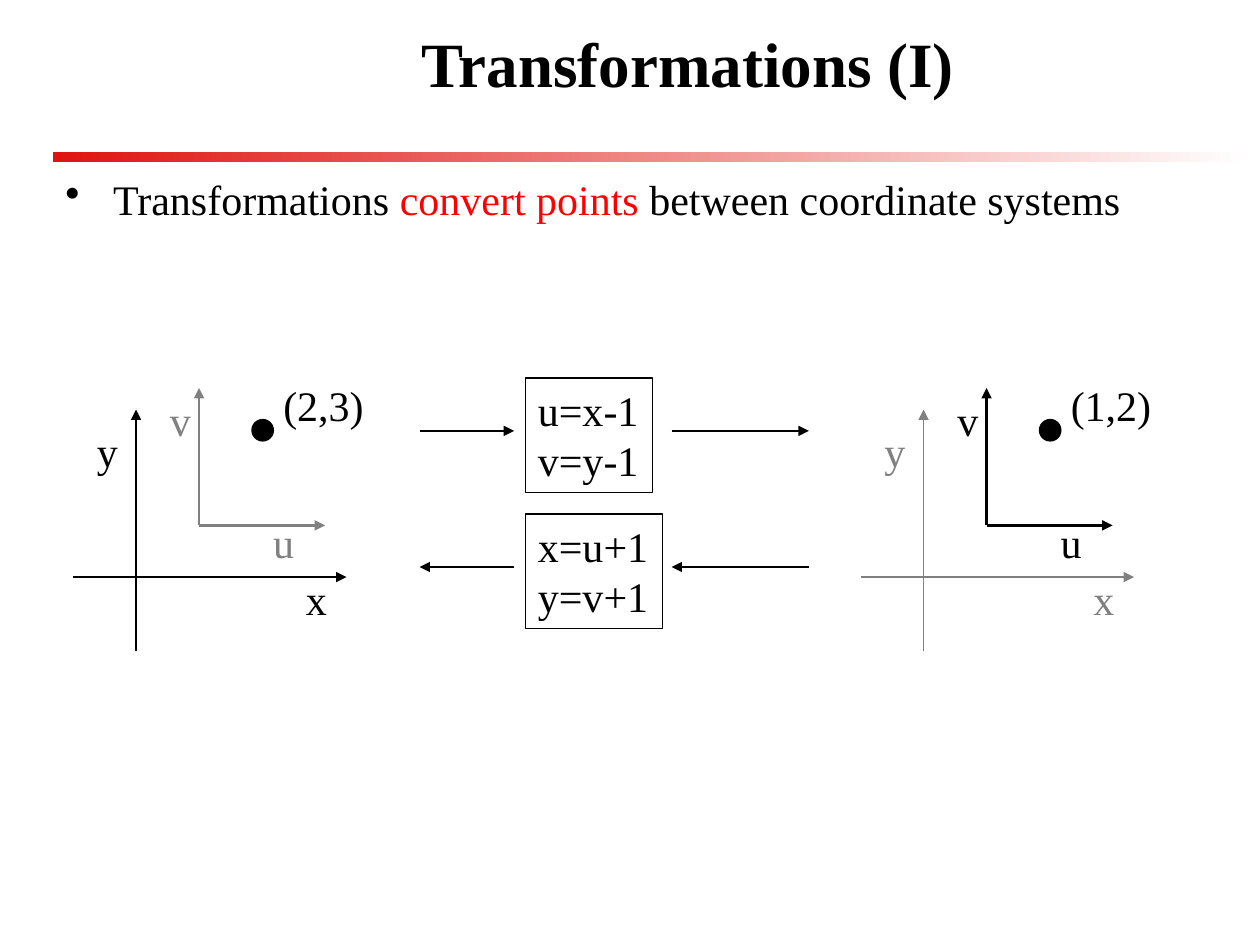
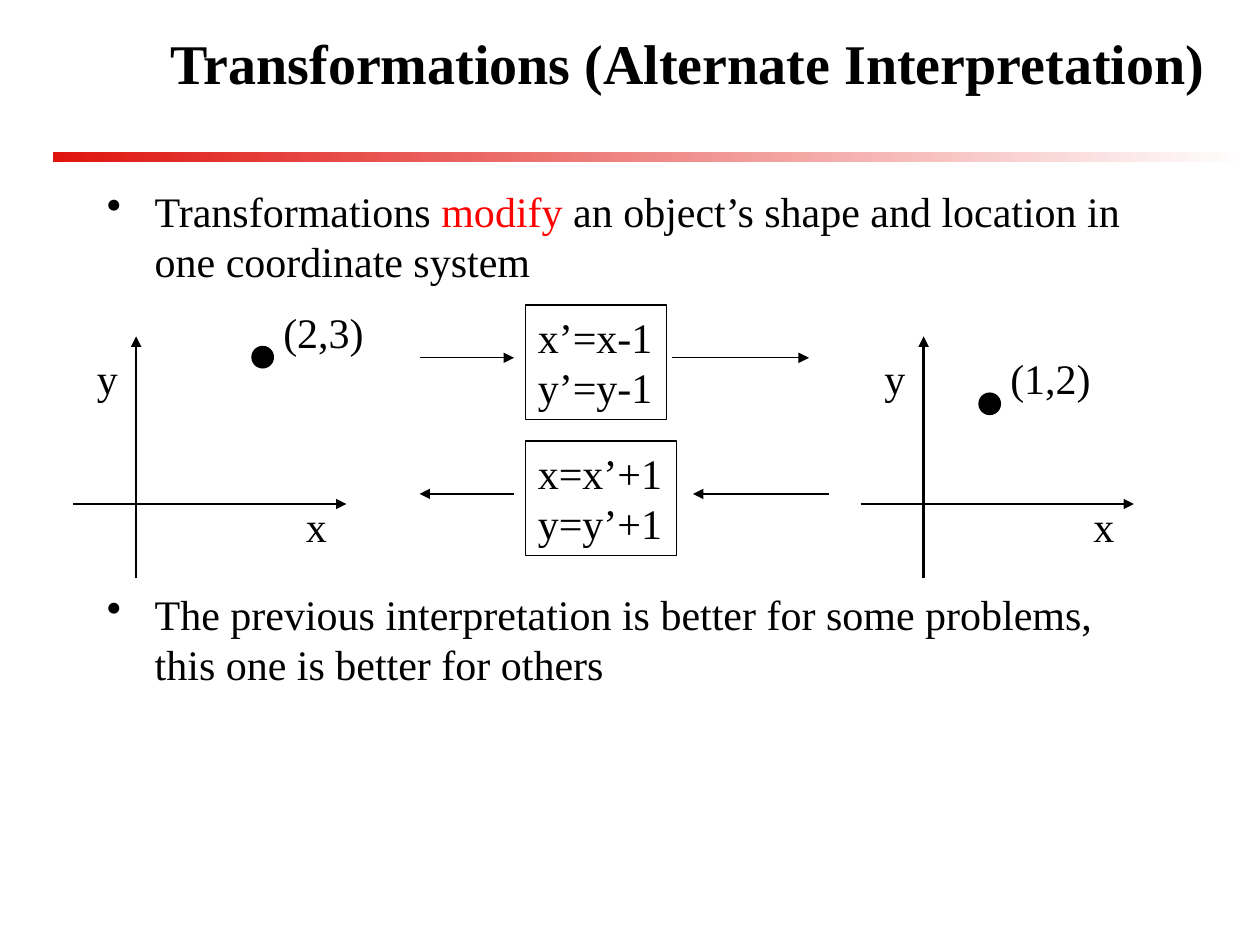
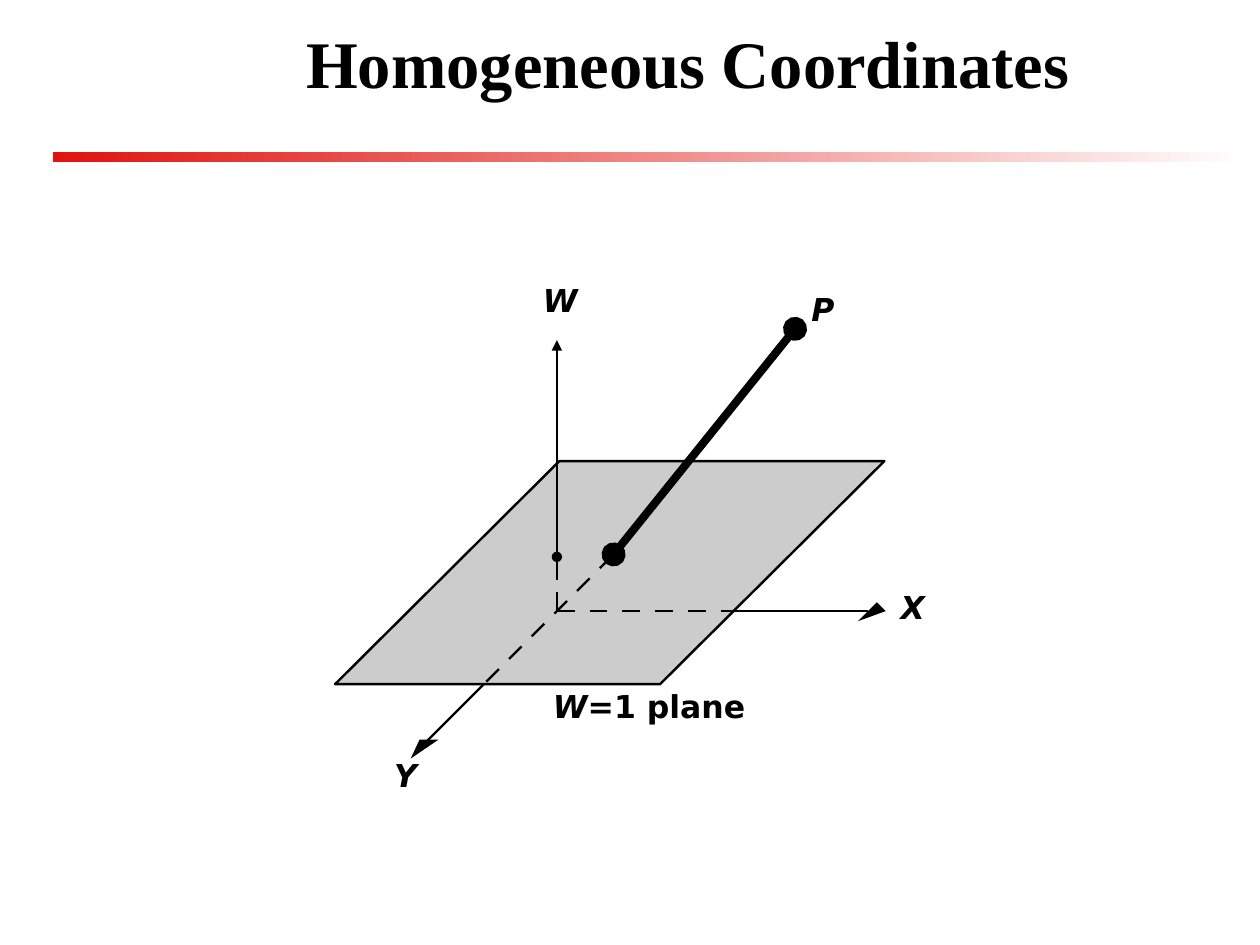
from pptx import Presentation, util as u
from pptx.dml.color import RGBColor
from pptx.enum import shapes, text
from pptx.oxml.ns import qn
from lxml import etree

HUES = {"ink": "000000", "red": "FF0000", "gray": "808080",
        "band": "DF140F", "page": "FFFFFF", "plane": "CCCCCC"}
SERIF, SANS = "Times New Roman", "DejaVu Sans"
LEFT, RIGHT = 1.08, 7.33  # x of the two origins


def hue(name):
    return RGBColor.from_string(HUES[name])


def sub(node, tag, **attrs):
    return etree.SubElement(node, qn(tag), attrs)


class Deck:
    def __init__(self):
        self.file = Presentation()
        self.file.slide_width, self.file.slide_height = u.Inches(10), u.Inches(7.5)
        self.slide = None

    def page(self, title, size):
        """Start a slide with its title and the fading red band."""
        self.slide = self.file.slides.add_slide(self.file.slide_layouts[6])
        band = self.shape(shapes.MSO_SHAPE.RECTANGLE, 0.42, 1.21, 9.5, 0.08)
        band.fill.gradient()
        band.fill.gradient_angle = 0
        for stop, name in zip(band.fill.gradient_stops, ("band", "page")):
            stop.color.rgb = hue(name)
        frame = self.frame(1.17, 0.08, 8.58, 0.83)
        frame.vertical_anchor = text.MSO_ANCHOR.MIDDLE
        par = frame.paragraphs[0]
        par.alignment = text.PP_ALIGN.CENTER
        self.run(par, title, size=size, bold=True)

    def run(self, par, words, color="ink", size=24, font=SERIF, bold=False, slant=False):
        run = par.add_run()
        run.text = words
        run.font.name, run.font.size = font, u.Pt(size)
        run.font.bold, run.font.italic = bold, slant
        run.font.color.rgb = hue(color)

    def frame(self, x, y, w, h, wrap=True):
        box = self.slide.shapes.add_textbox(*map(u.Inches, (x, y, w, h)))
        box.text_frame.word_wrap = wrap
        return box.text_frame

    def label(self, words, x, y, w=0.37, color="ink"):
        par = self.frame(x, y, w, 0.5, wrap=False).paragraphs[0]
        self.run(par, words, color)

    def mark(self, x, y, w, slant, plain=""):
        """Bold sans label: a slanted name, then upright words."""
        par = self.frame(x, y, w, 0.4, wrap=False).paragraphs[0]
        self.run(par, slant, size=18, font=SANS, bold=True, slant=True)
        if plain:
            self.run(par, plain, size=18, font=SANS, bold=True)

    def bullet(self, x, y, w, h, *runs):
        par = self.frame(x, y, w, h).paragraphs[0]
        par.space_before = u.Pt(4.8)
        props = par._p.get_or_add_pPr()
        props.set("marL", str(u.Inches(0.38)))
        props.set("indent", str(u.Inches(-0.38)))
        sub(props, "a:buChar", char="•")
        for words, color in runs:
            self.run(par, words, color)

    def shape(self, kind, x, y, w, h):
        item = self.slide.shapes.add_shape(kind, *map(u.Inches, (x, y, w, h)))
        item.shadow.inherit = False
        item.line.fill.background()
        return item

    def line(self, x1, y1, x2, y2, color="ink", width=1.5, head=None, tail=None):
        item = self.slide.shapes.add_connector(
            shapes.MSO_CONNECTOR.STRAIGHT, *map(u.Inches, (x1, y1, x2, y2)))
        item.line.color.rgb = hue(color)
        item.line.width = u.Pt(width)
        for tag, kind in (("a:headEnd", head), ("a:tailEnd", tail)):
            if kind:
                sub(item.line._ln, tag, type=kind)
        sub(item._element.spPr, "a:effectLst")

    def arrow(self, *ends, color="ink", width=1.5):
        self.line(*ends, color=color, width=width, tail="triangle")

    def poly(self, points, color, width=0):
        """Filled outline; it gets an ink line when width is given."""
        (x, y), *rest = [(u.Inches(a), u.Inches(b)) for a, b in points]
        pen = self.slide.shapes.build_freeform(x, y)
        pen.add_line_segments(rest, close=True)
        item = pen.convert_to_shape()
        item.shadow.inherit = False
        item.fill.solid()
        item.fill.fore_color.rgb = hue(color)
        if width:
            item.line.color.rgb = hue("ink")
            item.line.width = u.Pt(width)
        else:
            item.line.fill.background()

    def axes(self, x, y, color="ink", width=1.5):
        """The x and y axes, crossing at (x, y)."""
        self.arrow(x, y + 0.59, x, y - 1.33, color=color, width=width)
        self.arrow(x - 0.5, y, x + 1.67, y, color=color, width=width)
        self.label("x", x + 1.25, y - 0.08, color=color)
        self.label("y", x - 0.41, y - 1.25, color=color)

    def inner(self, x, y, color):
        """The u and v axes, starting at (x, y)."""
        self.arrow(x, y, x, y - 1.09, color=color)
        self.arrow(x, y, x + 1, y, color=color)
        self.label("u", x + 0.49, y - 0.12, color=color)
        self.label("v", x - 0.33, y - 1.09, color=color)

    def point(self, words, x, y):
        dot = self.shape(shapes.MSO_SHAPE.OVAL, x, y, 0.17, 0.17)
        dot.fill.solid()
        dot.fill.fore_color.rgb = dot.line.color.rgb = hue("ink")
        dot.line.width = u.Pt(0.75)
        self.label(words, x + 0.15, y - 0.37, 0.84)

    def rule(self, rows, y, w, *spans):
        """Boxed equations with an arrow for each span of x."""
        box = self.shape(shapes.MSO_SHAPE.RECTANGLE, 4.17, y, w, 0.91)
        box.fill.background()
        box.line.color.rgb = hue("ink")
        box.line.width = u.Pt(0.75)
        frame = box.text_frame
        frame.word_wrap = False
        frame.vertical_anchor = text.MSO_ANCHOR.TOP
        for i, row in enumerate(rows):
            par = frame.add_paragraph() if i else frame.paragraphs[0]
            par.alignment = text.PP_ALIGN.LEFT
            self.run(par, row)
        for start, end in spans:
            self.arrow(start, y + 0.42, end, y + 0.42, width=0.75)

    def dashes(self, x, y, step, size, count):
        for i in range(count):
            a, b = x + i * step[0], y + i * step[1]
            self.line(a, b, a + size[0], b + size[1], width=1.38)


def convert(deck):
    deck.page("Transformations (I)", 36)
    deck.bullet(0.42, 1.33, 9.33, 0.6, ("Transformations ", "ink"),
                ("convert points", "red"), (" between coordinate systems", "ink"))
    deck.axes(LEFT, 4.58)
    deck.point("(2,3)", 2, 3.33)
    deck.axes(RIGHT, 4.58, "gray", 1)
    deck.point("(1,2)", 8.25, 3.33)
    deck.inner(RIGHT + 0.5, 4.17, "ink")
    deck.inner(LEFT + 0.5, 4.17, "gray")
    deck.rule(("u=x-1", "v=y-1"), 3, 1.01, (3.33, 4.08), (5.33, 6.42))
    deck.rule(("x=u+1", "y=v+1"), 4.08, 1.09, (4.08, 3.33), (6.42, 5.33))


def modify(deck):
    deck.page("Transformations (Alternate Interpretation)", 32)
    deck.bullet(0.75, 1.42, 8.5, 0.98, ("Transformations ", "ink"), ("modify", "red"),
                (" an object’s shape and location in one coordinate system", "ink"))
    deck.bullet(0.75, 4.62, 8.5, 0.98, ("The previous interpretation is better for some "
                "problems, this one is better for others", "ink"))
    for x in (LEFT, RIGHT):
        deck.axes(x, 4)
    deck.point("(2,3)", 2, 2.75)
    deck.point("(1,2)", 7.77, 3.12)
    deck.rule(("x’=x-1", "y’=y-1"), 2.42, 1.12, (3.33, 4.08), (5.33, 6.42))
    deck.rule(("x=x’+1", "y=y’+1"), 3.5, 1.2, (4.08, 3.33), (6.58, 5.5))


def lift(deck):
    deck.page("Homogeneous Coordinates", 38)
    deck.poly([(4.44, 3.66), (7.02, 3.66), (5.24, 5.43), (2.66, 5.43)], "plane", 1.38)
    deck.poly([(3.33, 5.87), (3.48, 5.87), (3.26, 6.02)], "ink")
    deck.poly([(6.81, 4.93), (6.96, 4.78), (7.03, 4.85)], "ink")
    deck.line(4.87, 4.4, 6.31, 2.61, width=4.63, head="oval", tail="oval")
    deck.dashes(4.42, 4.85, (0.26, 0), (0.14, 0), 6)
    deck.line(5.82, 4.85, 6.89, 4.85, width=1.38)
    deck.dashes(4.86, 4.41, (-0.18, 0.18), (-0.1, 0.1), 6)
    deck.line(3.84, 5.43, 3.39, 5.88, width=1.38)
    deck.dashes(4.42, 4.85, (0, -0.25), (0, -0.15), 2)
    deck.line(4.42, 4.42, 4.42, 2.7, width=1.38, head="oval", tail="triangle")
    deck.mark(7.05, 4.62, 0.39, "X")
    deck.mark(3.03, 5.95, 0.39, "Y")
    deck.mark(4.21, 2.18, 0.48, "W")
    deck.mark(6.34, 2.25, 0.39, "P")
    deck.mark(4.29, 5.4, 1.73, "W", "=1 plane")


def main():
    deck = Deck()
    for build in (convert, modify, lift):
        build(deck)
    deck.file.save("out.pptx")


if __name__ == "__main__":
    main()
